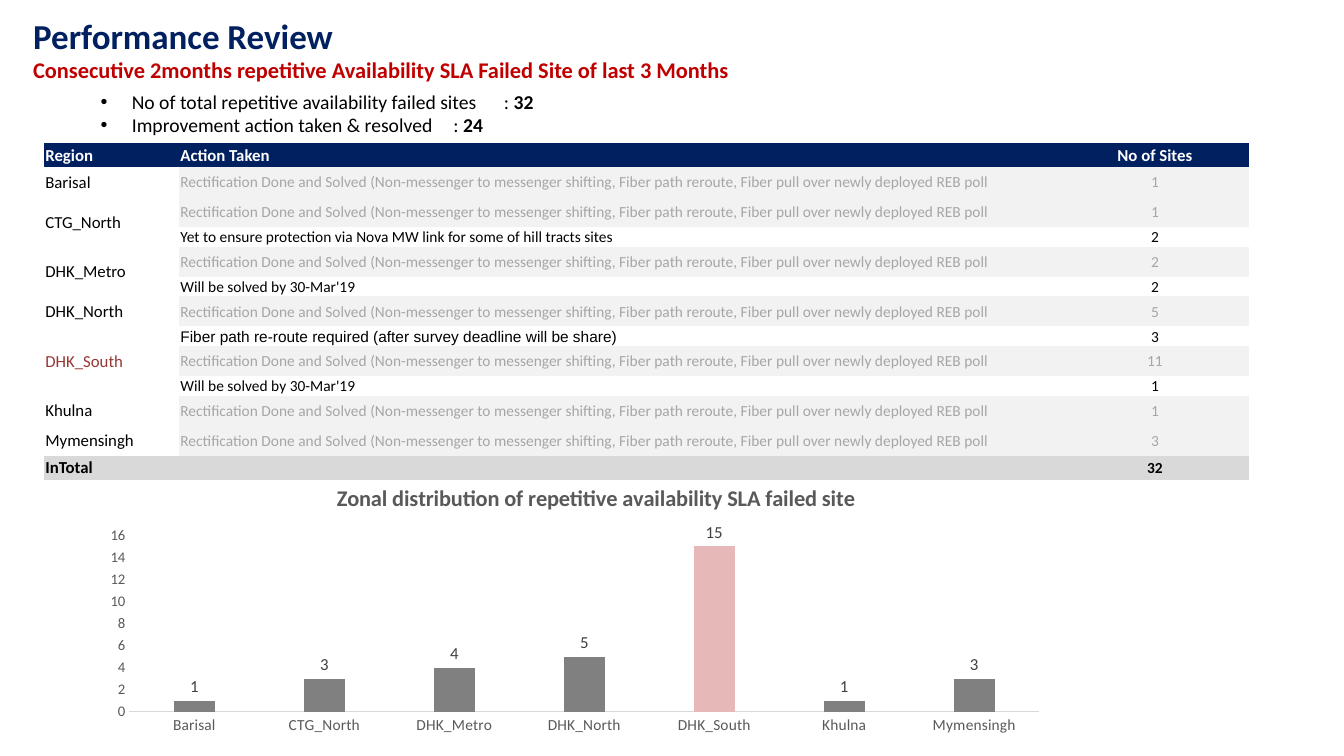
from dataclasses import dataclass
from typing import Any

from lxml.etree import SubElement
from pptx import Presentation
from pptx.chart.data import CategoryChartData
from pptx.dml.color import RGBColor
from pptx.enum.chart import XL_CHART_TYPE as ChartType, XL_LABEL_POSITION as LabelPosition
from pptx.enum.chart import XL_TICK_MARK as TickMark
from pptx.enum.text import MSO_ANCHOR as Anchor, PP_ALIGN as Align
from pptx.oxml.ns import qn
from pptx.util import Emu, Inches, Pt

SLIDE_WIDTH, SLIDE_HEIGHT = Inches(13.33), Inches(7.5)
NAVY, RED, BLACK, WHITE = "002060", "C00000", "000000", "FFFFFF"
MAROON, PINK, GRAY, DARK, AXIS_TEXT = "953735", "E6B9B8", "808080", "404040", "595959"
FADED, PALE, SILVER = "A6A6A6", "F2F2F2", "D9D9D9"
NO_STYLE = "{2D5ABB26-0587-4C30-8999-92F81FD0307C}"
SOLVED = ("Rectification Done and Solved (Non-messenger to messenger shifting, "
          "Fiber path reroute, Fiber pull over newly deployed REB poll")


@dataclass(frozen=True)
class Area:
    """A rectangle in percent of the slide's width and height."""
    left: float
    top: float
    width: float
    height: float

    def lengths(self) -> tuple[Emu, Emu, Emu, Emu]:
        return across(self.left), down(self.top), across(self.width), down(self.height)


@dataclass(frozen=True)
class Action:
    text: str
    sites: int
    font: str = "Calibri"


@dataclass(frozen=True)
class Region:
    name: str
    total: int
    actions: list[Action]
    text_color: str = BLACK
    bar_color: str = GRAY


TITLE_AREA = Area(1.73, 1.2, 60.17, 12.67)
SUMMARY_AREA = Area(6.75, 11.2, 34.06, 7.6)
TABLE_AREA = Area(3.3, 18.93, 89.65, 44.53)
CHART_AREA = Area(6.75, 61.87, 72.02, 35.87)
COLUMN_WIDTHS = (10.05, 65.57, 14.03)
EDGE_ROW, SOLVED_ROW, OPEN_ROW = 3.17, 3.97, 2.6

REGIONS = [
    Region("Barisal", 1, [Action(SOLVED, 1)]),
    Region("CTG_North", 3, [
        Action(SOLVED, 1),
        Action("Yet to ensure protection via Nova MW link for some of hill tracts sites", 2)]),
    Region("DHK_Metro", 4, [Action(SOLVED, 2), Action("Will be solved by 30-Mar'19", 2)]),
    Region("DHK_North", 5, [Action(SOLVED, 5)]),
    Region("DHK_South", 15, [
        Action("Fiber path re-route required (after survey deadline will be share)", 3, "Arial"),
        Action(SOLVED, 11),
        Action("Will be solved by 30-Mar'19", 1)], MAROON, PINK),
    Region("Khulna", 1, [Action(SOLVED, 1)]),
    Region("Mymensingh", 3, [Action(SOLVED, 3)]),
]


def across(percent: float) -> Emu:
    return Emu(round(SLIDE_WIDTH * percent / 100))


def down(percent: float) -> Emu:
    return Emu(round(SLIDE_HEIGHT * percent / 100))


def paint(target: Any, color: str) -> None:
    """Give a fill a solid colour."""
    target.solid()
    target.fore_color.rgb = RGBColor.from_string(color)


def style_font(font: Any, size: float, color: str, bold: bool = False,
               name: str = "Calibri") -> None:
    for key, value in {"name": name, "size": Pt(size), "bold": bold}.items():
        setattr(font, key, value)
    font.color.rgb = RGBColor.from_string(color)


def add_span(para: Any, text: str, *style: Any) -> None:
    span = para.add_run()
    span.text = text
    style_font(span.font, *style)


def add_title(page: Any) -> None:
    frame = page.shapes.add_textbox(*TITLE_AREA.lengths()).text_frame
    frame.word_wrap = True
    add_span(frame.paragraphs[0], "Performance Review", 25, NAVY, True)
    add_span(frame.add_paragraph(),
             "Consecutive 2months repetitive Availability SLA Failed Site of last 3 Months",
             16, RED, True)


def add_summary(page: Any) -> None:
    frame = page.shapes.add_textbox(*SUMMARY_AREA.lengths()).text_frame
    frame.word_wrap = False
    lines = [("No of total repetitive availability failed sites", "32"),
             ("Improvement action taken & resolved", "24")]
    for index, (label, count) in enumerate(lines):
        para = frame.add_paragraph() if index else frame.paragraphs[0]
        properties = para._p.get_or_add_pPr()
        properties.set("marL", str(Inches(0.31)))
        properties.set("indent", str(-Inches(0.31)))
        SubElement(properties, qn("a:buFont"), typeface="Arial")
        SubElement(properties, qn("a:buChar"), char="•")
        add_span(para, f"{label} \t: ", 14, BLACK)
        add_span(para, count, 14, BLACK, True)


def fill_row(table: Any, row: int, texts: list[str], fill: str | None,
             styles: list[tuple]) -> None:
    """Write one row; the first column stays unfilled when only its actions are shaded."""
    for column, (text, style) in enumerate(zip(texts, styles)):
        cell = table.cell(row, column)
        margins = {f"margin_{side}": Inches(0.01) for side in ("left", "right", "top")}
        for key, value in {**margins, "margin_bottom": 0,
                           "vertical_anchor": Anchor.MIDDLE}.items():
            setattr(cell, key, value)
        if fill and not (fill == PALE and column == 0):
            paint(cell.fill, fill)
        else:
            cell.fill.background()
        para = cell.text_frame.paragraphs[0]
        para.alignment = Align.CENTER if column == 2 else Align.LEFT
        if text:
            add_span(para, text, *style)
        else:
            SubElement(para._p, qn("a:endParaRPr"), sz="1100")


def add_action_table(page: Any) -> None:
    actions = [action for region in REGIONS for action in region.actions]
    heights = [EDGE_ROW, *(SOLVED_ROW if a.text == SOLVED else OPEN_ROW for a in actions),
               EDGE_ROW]
    table = page.shapes.add_table(len(heights), 3, *TABLE_AREA.lengths()).table
    table.first_row = table.horz_banding = False
    table._tbl.tblPr.find(qn("a:tableStyleId")).text = NO_STYLE
    for column, width in zip(table.columns, COLUMN_WIDTHS):
        column.width = across(width)
    for table_row, height in zip(table.rows, heights):
        table_row.height = down(height)

    fill_row(table, 0, ["Region", "Action Taken", "No of Sites"], NAVY, [(12, WHITE, True)] * 3)
    row = 1
    for region in REGIONS:
        if len(region.actions) > 1:
            table.cell(row, 0).merge(table.cell(row + len(region.actions) - 1, 0))
        for index, action in enumerate(region.actions):
            solved = action.text == SOLVED
            color = FADED if solved else BLACK
            fill_row(table, row, ["" if index else region.name, action.text, str(action.sites)],
                     PALE if solved else None,
                     [(12, region.text_color), (11, color, False, action.font), (11, color)])
            row += 1
    total = sum(action.sites for action in actions)
    fill_row(table, row, ["InTotal", "", str(total)], SILVER,
             [(size, BLACK, True) for size in (12, 11, 11)])


def place(parent: Any, index: int, **shares: Any) -> None:
    """Set the manual layout of a chart part in shares of the chart."""
    for old in parent.findall(qn("c:layout")):
        parent.remove(old)
    layout = SubElement(parent, qn("c:layout"))
    parent.insert(index, layout)
    manual = SubElement(layout, qn("c:manualLayout"))
    for key, value in shares.items():
        SubElement(manual, qn(f"c:{key}"), val=str(value))


def add_zone_chart(page: Any) -> None:
    data = CategoryChartData()
    data.categories = [region.name for region in REGIONS]
    data.add_series("Series 1", [region.total for region in REGIONS])
    chart = page.shapes.add_chart(ChartType.COLUMN_CLUSTERED, *CHART_AREA.lengths(), data).chart
    style_font(chart.font, 10, BLACK)
    chart.has_legend = False
    add_span(chart.chart_title.text_frame.paragraphs[0],
             "Zonal distribution of repetitive availability SLA failed site", 16, AXIS_TEXT, True)
    root = chart.element.find(qn("c:chart"))
    place(root.find(qn("c:title")), 1, xMode="edge", yMode="edge", x=0.25, y=0.04)
    place(root.find(qn("c:plotArea")), 0, layoutTarget="inner", xMode="edge", yMode="edge",
          x=0.04, y=0.25, w=0.94, h=0.65)

    for axis, size in ((chart.category_axis, 11), (chart.value_axis, 10.5)):
        style_font(axis.tick_labels.font, size, AXIS_TEXT)
        axis.has_major_gridlines = False
        axis.major_tick_mark = axis.minor_tick_mark = TickMark.NONE
    paint(chart.category_axis.format.line.fill, SILVER)
    chart.category_axis.format.line.width = Pt(0.75)
    chart.value_axis.format.line.fill.background()
    for key, value in {"minimum_scale": 0, "maximum_scale": 16, "major_unit": 2}.items():
        setattr(chart.value_axis, key, value)

    plot = chart.plots[0]
    for key, value in {"gap_width": 219, "overlap": -27, "vary_by_categories": False}.items():
        setattr(plot, key, value)
    series = plot.series[0]
    paint(series.format.fill, GRAY)
    for index, region in enumerate(REGIONS):
        if region.bar_color != GRAY:
            paint(series.points[index].format.fill, region.bar_color)
    labels = series.data_labels
    labels.show_value = True
    labels.position = LabelPosition.OUTSIDE_END
    style_font(labels.font, 12, DARK)


def main() -> None:
    deck = Presentation()
    deck.slide_width, deck.slide_height = SLIDE_WIDTH, SLIDE_HEIGHT
    page = deck.slides.add_slide(deck.slide_layouts[6])
    for draw in (add_title, add_summary, add_zone_chart, add_action_table):
        draw(page)
    deck.save("out.pptx")


if __name__ == "__main__":
    main()
